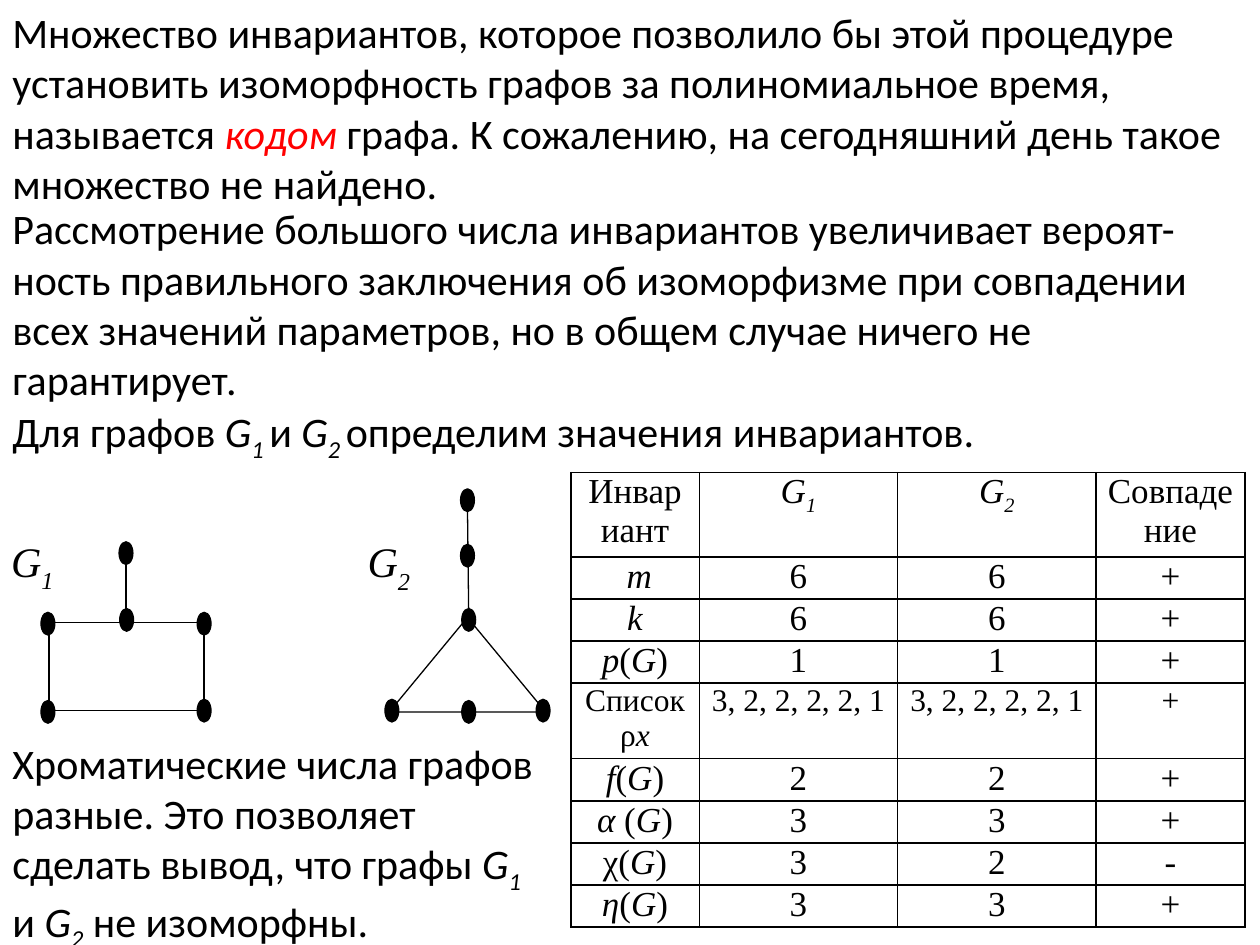
from dataclasses import dataclass

from lxml import etree
from pptx import Presentation
from pptx.dml.color import RGBColor
from pptx.enum.shapes import MSO_CONNECTOR, MSO_SHAPE
from pptx.enum.text import MSO_ANCHOR, MSO_AUTO_SIZE, PP_ALIGN
from pptx.oxml.ns import qn
from pptx.util import Inches, Pt

RECTANGLE, TRIANGLE, OVAL = MSO_SHAPE.RECTANGLE, MSO_SHAPE.ISOSCELES_TRIANGLE, MSO_SHAPE.OVAL
STRAIGHT = MSO_CONNECTOR.STRAIGHT
LEFT, CENTER = PP_ALIGN.LEFT, PP_ALIGN.CENTER
TOP = MSO_ANCHOR.TOP
GROW = MSO_AUTO_SIZE.SHAPE_TO_FIT_TEXT

WIDTH, HEIGHT = Inches(10), Inches(7.5)
COLUMN, ROW = WIDTH / 100, HEIGHT / 75  # fine grid of 100 columns by 75 rows


@dataclass(frozen=True)
class Theme:
    ink: RGBColor = RGBColor(0, 0, 0)
    paper: RGBColor = RGBColor(255, 255, 255)
    accent: RGBColor = RGBColor(255, 0, 0)
    body_font: str = "Calibri"
    math_font: str = "Times New Roman"
    body_size: float = 24
    table_size: float = 20
    list_size: float = 18
    outline: float = 0.75
    border: float = 1


THEME = Theme()

# Run styles: "i" italic, "_" subscript, "!" accent colour
PASSAGES = [
    ((0, 0, 100, 17.2), [
        ("Множество инвариантов, которое позволило бы этой процедуре установить "
         "изоморфность графов за полиномиальное время, называется ", ""),
        ("кодом", "i!"),
        (" графа. К сожалению, на сегодняшний день такое множество не найдено.", "")]),
    ((0, 15.6, 100, 17.2), [
        ("Рассмотрение большого числа инвариантов увеличивает вероят-ность правильного "
         "заключения об изоморфизме при совпадении всех значений параметров, "
         "но в общем случае ничего не гарантирует.", "")]),
    ((0, 31.7, 100, 5), [
        ("Для графов ", ""), ("G", "i"), ("1 ", "i_"), ("и ", ""), ("G", "i"), ("2 ", "i_"),
        ("определим значения инвариантов.", "")]),
    ((0, 58, 44.5, 17.2), [
        ("Хроматические числа графов разные. Это позволяет сделать вывод, что графы ", ""),
        ("G", "i"), ("1 ", "i_"), ("и ", ""), ("G", "i"), ("2", "i_"),
        (" не изоморфны.", "")]),
]

# Each graph: outline, index, label box, vertex centres, stem ends
GRAPHS = [
    (RECTANGLE, (3.9, 49.4, 12.3, 7), "1", (-0.1, 42, 6.3, 5.4),
     [(10, 43.9), (10.05, 49.2), (3.8, 56.5), (3.8, 49.5), (16.2, 49.5), (16.2, 56.4)],
     ((10, 44.4), (10, 49.1))),
    (TRIANGLE, (30.9, 49, 12.4, 7.5), "2", (28.2, 42, 6.7, 6.5),
     [(37.1, 39.7), (37.1, 44.1), (43.1, 56.4), (37.2, 56.5), (37.2, 49.2), (31.1, 56.4)],
     ((37.1, 40.1), (37.2, 48.7))),
]
VERTEX_SIZE = (1.1, 1.8)

TABLE_CORNER = (45.3, 37.5)
TABLE_COLUMNS = [10.2, 15.75, 15.75, 11.8]
HEADER_HEIGHT, LIST_HEIGHT, VALUE_HEIGHT = 6.7, 6, 3.33
DEGREES = "3, 2, 2, 2, 2, 1"
HEADER = [[("Инвариант", "")], [("G", "i"), ("1", "i_")],
          [("G", "i"), ("2", "i_")], [("Совпадение", "")]]


def of_graph(symbol, style="i", opening="("):
    return [(symbol, style), (opening, ""), ("G", "i"), (")", "")]


INVARIANTS = [
    ([(" ", ""), ("m", "i")], "6", "6", "+"),
    ([("k", "i")], "6", "6", "+"),
    (of_graph("р"), "1", "1", "+"),
    ([("Список ρ", ""), ("x", "i")], DEGREES, DEGREES, "+"),
    (of_graph("f"), "2", "2", "+"),
    (of_graph("α", opening=" ("), "3", "3", "+"),
    ([("χ(", ""), ("G", "i"), (")", "")], "3", "2", "-"),
    (of_graph("η"), "3", "3", "+"),
]


def cols(count):
    return round(count * COLUMN)


def rows(count):
    return round(count * ROW)


def place(box):
    left, top, width, height = box
    return cols(left), rows(top), cols(width), rows(height)


def write(paragraph, runs, font, size, align=LEFT, drop=-25):
    """Add styled runs; drop is the subscript offset in percent."""
    paragraph.alignment = align
    for text, style in runs:
        run = paragraph.add_run()
        run.text = text
        run.font.name, run.font.size = font, Pt(size)
        run.font.italic = "i" in style
        run.font.color.rgb = THEME.accent if "!" in style else THEME.ink
        if "_" in style:
            run.font._element.set("baseline", str(drop * 1000))


def add_passage(slide, box, runs):
    frame = slide.shapes.add_textbox(*place(box)).text_frame
    frame.word_wrap, frame.auto_size = True, GROW
    write(frame.paragraphs[0], runs, THEME.body_font, THEME.body_size)


def add_outlined(group, kind, box, line, fill=None):
    shape = group.shapes.add_shape(kind, *place(box))
    shape.shadow.inherit = False
    if fill is None:
        shape.fill.background()
    else:
        shape.fill.solid()
        shape.fill.fore_color.rgb = fill
    shape.line.color.rgb, shape.line.width = line, Pt(THEME.outline)
    return shape


def add_stem(group, start, end):
    stem = group.shapes.add_connector(
        STRAIGHT, cols(start[0]), rows(start[1]), cols(end[0]), rows(end[1]))
    stem.line.color.rgb, stem.line.width = THEME.ink, Pt(THEME.outline)
    etree.SubElement(stem._element.spPr, qn("a:effectLst"))


def add_graph(slide, kind, cycle, index, label_box, vertices, stem):
    group = slide.shapes.add_group_shape()
    add_outlined(group, kind, cycle, THEME.ink, THEME.paper)
    label = add_outlined(group, RECTANGLE, label_box, THEME.paper).text_frame
    label.word_wrap, label.vertical_anchor = True, TOP
    write(label.paragraphs[0], [("G", "i"), (index, "i_")],
          THEME.math_font, THEME.body_size, drop=-30)
    width, height = VERTEX_SIZE
    for x, y in vertices:
        add_outlined(group, OVAL, (x - width / 2, y - height / 2, width, height),
                     THEME.ink, THEME.ink)
    add_stem(group, *stem)


def set_borders(cell):
    properties = cell._tc.get_or_add_tcPr()
    for position, side in enumerate(("lnL", "lnR", "lnT", "lnB")):
        border = etree.Element(qn(f"a:{side}"), w=str(Pt(THEME.border)))
        fill = etree.SubElement(border, qn("a:solidFill"))
        etree.SubElement(fill, qn("a:srgbClr"), val=str(THEME.ink))
        properties.insert(position, border)


def fill_cell(cell, runs, size):
    cell.margin_left = cell.margin_right = Inches(0.07)
    cell.margin_top = cell.margin_bottom = 0
    cell.fill.background()
    set_borders(cell)
    write(cell.text_frame.paragraphs[0], runs, THEME.math_font, size, CENTER)


def add_invariant_table(slide):
    lines = [HEADER] + [[name] + [[(value, "")] for value in values]
                        for name, *values in INVARIANTS]
    heights = [HEADER_HEIGHT] + [LIST_HEIGHT if DEGREES in line else VALUE_HEIGHT
                                 for line in INVARIANTS]
    table = slide.shapes.add_table(
        len(lines), len(TABLE_COLUMNS),
        *place((*TABLE_CORNER, sum(TABLE_COLUMNS), sum(heights)))).table
    table.first_row = table.horz_banding = False
    for column, width in zip(table.columns, TABLE_COLUMNS):
        column.width = cols(width)
    for row, line, height in zip(table.rows, lines, heights):
        row.height = rows(height)
        size = THEME.list_size if height == LIST_HEIGHT else THEME.table_size
        for cell, runs in zip(row.cells, line):
            fill_cell(cell, runs, size)


def main():
    deck = Presentation()
    deck.slide_width, deck.slide_height = WIDTH, HEIGHT
    slide = deck.slides.add_slide(deck.slide_layouts[6])
    for box, runs in PASSAGES:
        add_passage(slide, box, runs)
    for graph in GRAPHS:
        add_graph(slide, *graph)
    add_invariant_table(slide)
    deck.save("out.pptx")


if __name__ == "__main__":
    main()
